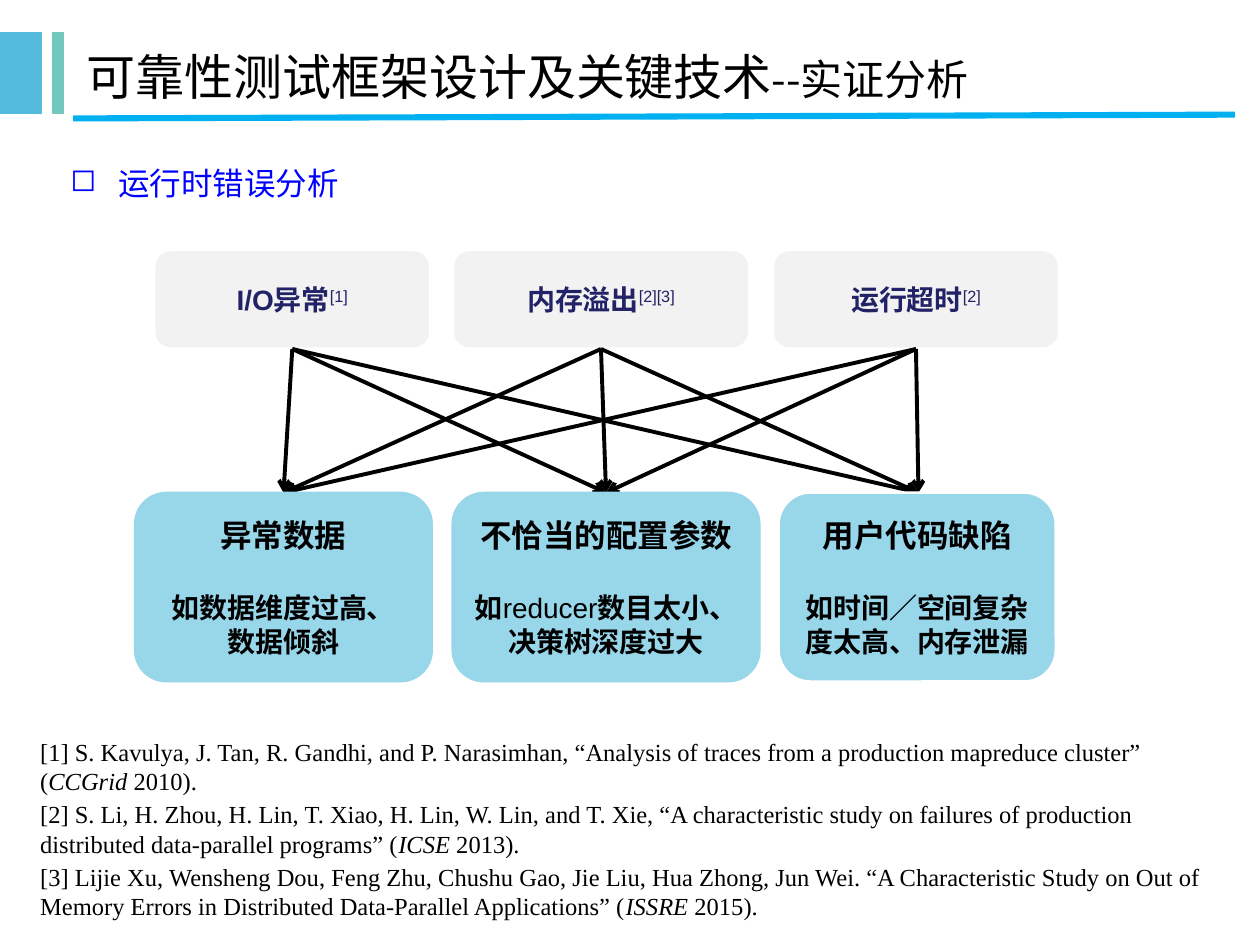
from dataclasses import dataclass
from itertools import product

from lxml.etree import SubElement
from pptx import Presentation
from pptx.dml.color import RGBColor
from pptx.enum.shapes import MSO_CONNECTOR, MSO_SHAPE
from pptx.enum.text import MSO_ANCHOR, PP_ALIGN
from pptx.oxml.ns import qn
from pptx.util import Inches, Pt


@dataclass(frozen=True)
class Theme:
    sans: str = "Arial"
    serif: str = "Times New Roman"
    asian: str = "Noto Sans CJK SC"
    black: str = "000000"
    white: str = "FFFFFF"
    bar: str = "54BBDC"
    accent: str = "73C8BE"
    rule: str = "00B0F0"
    topic: str = "0000FF"
    error_fill: str = "F2F2F2"
    error_text: str = "222267"
    cause_fill: str = "98D6EA"
    title: int = 28
    subtitle: int = 24
    heading: int = 18
    body: int = 16
    reference: int = 14


class SlideBuilder:
    def __init__(self, page, theme):
        self.page = page
        self.theme = theme

    def shape(self, kind, place, fill, line, width):
        shape = self.page.shapes.add_shape(kind, *map(Inches, place))
        shape.shadow.inherit = False
        shape.fill.solid()
        shape.fill.fore_color.rgb = RGBColor.from_string(fill)
        shape.line.color.rgb = RGBColor.from_string(line)
        shape.line.width = Pt(width)
        return shape

    def card(self, place, fill, line, width, paragraphs, color):
        card = self.shape(MSO_SHAPE.ROUNDED_RECTANGLE, place, fill, line, width)
        self.fill_text(card.text_frame, paragraphs, self.theme.sans, color,
                       {"alignment": PP_ALIGN.CENTER})

    def text_box(self, place, paragraphs, font, color, layout=None,
                 anchor=MSO_ANCHOR.TOP, bullet=None):
        box = self.page.shapes.add_textbox(*map(Inches, place))
        self.fill_text(box.text_frame, paragraphs, font, color, layout or {}, anchor, bullet)

    def fill_text(self, frame, paragraphs, font, color, layout,
                  anchor=MSO_ANCHOR.MIDDLE, bullet=None):
        """Fill a frame; each paragraph is (spans, own layout), each span (text, format)."""
        frame.word_wrap = True
        frame.vertical_anchor = anchor
        for index, (spans, own_layout) in enumerate(paragraphs):
            para = frame.add_paragraph() if index else frame.paragraphs[0]
            if bullet:
                self.add_bullet(para, bullet)
            for name, value in {**layout, **own_layout}.items():
                setattr(para, name, value)
            for text, style in spans:
                self.add_span(para, text, font, color, style)

    def add_span(self, para, text, font, color, style):
        span = para.add_run()
        span.text = text
        values = {"name": font, **style}
        baseline = values.pop("baseline", None)
        for name, value in values.items():
            setattr(span.font, name, value)
        span.font.color.rgb = RGBColor.from_string(color)
        properties = span._r.get_or_add_rPr()
        if baseline:
            properties.set("baseline", str(baseline * 1000))
        SubElement(properties, qn("a:ea"), typeface=self.theme.asian)

    def add_bullet(self, para, symbol, indent=0.38):
        properties = para._p.get_or_add_pPr()
        properties.set("marL", str(Inches(indent)))
        properties.set("indent", str(-Inches(indent)))
        SubElement(properties, qn("a:buChar"), char=symbol)

    def line(self, start, end, color, width, arrow=False):
        line = self.page.shapes.add_connector(
            MSO_CONNECTOR.STRAIGHT, *map(Inches, (*start, *end)))
        line.line.color.rgb = RGBColor.from_string(color)
        line.line.width = Pt(width)
        if arrow:
            SubElement(line.line._get_or_add_ln(), qn("a:tailEnd"), type="arrow")
        SubElement(line._element.spPr, qn("a:effectLst"))


def main():
    theme = Theme()
    deck = Presentation()
    deck.slide_width, deck.slide_height = Inches(10), Inches(7.5)
    slide = SlideBuilder(deck.slides.add_slide(deck.slide_layouts[6]), theme)

    for left, width, color in ((0, 0.33, theme.bar), (0.42, 0.08, theme.accent)):
        slide.shape(MSO_SHAPE.RECTANGLE, (left, 0.26, width, 0.64), color, color, 0.75)
    title = [("可靠性测试框架设计及关键技术", {"size": Pt(theme.title)}),
             ("--实证分析", {"size": Pt(theme.subtitle)})]
    slide.text_box((0.59, 0.26, 8.91, 0.69), [(title, {})], theme.asian, theme.black,
                   anchor=MSO_ANCHOR.MIDDLE)
    slide.line((0.58, 0.94), (9.8, 0.91), theme.rule, 3.5)
    topic = [("运行时错误分析", {"size": Pt(theme.heading)})]
    slide.text_box((0.46, 1.25, 2.58, 0.4), [(topic, {})], theme.sans, theme.topic,
                   bullet="◻")

    bold = {"size": Pt(theme.body), "bold": True}
    plain = {"size": Pt(theme.body), "bold": False}
    citation = {**plain, "baseline": 30}
    errors = ((1.22, 2.2, "I/O异常", "[1]"),
              (3.59, 2.36, "内存溢出", "[2][3]"),
              (6.13, 2.28, "运行超时", "[2]"))
    for left, width, name, source in errors:
        slide.card((left, 1.98, width, 0.79), theme.error_fill, theme.white, 2,
                   [([(name, bold), (source, citation)], {})], theme.error_text)

    error_centers = [left + width / 2 for left, width, *_ in errors]
    cause_centers = (2.25, 4.81, 7.29)
    for start, end in product(error_centers, cause_centers):
        slide.line((start, 2.77), (end, 3.91), theme.black, 2.25, arrow=True)

    causes = (
        (1.07, 2.36, theme.cause_fill, 1, "异常数据",
         [[("如数据维度过高、", bold)], [("数据倾斜", bold)]]),
        (3.59, 2.44, theme.cause_fill, 1, "不恰当的配置参数",
         [[("如", bold), ("reducer", plain), ("数目太小、决策树深度过大", bold)]]),
        (6.18, 2.2, theme.white, 1.5, "用户代码缺陷",
         [[("如时间／空间复杂度太高、内存泄漏", bold)]]),
    )
    heading = {"size": Pt(theme.heading), "bold": True}
    for left, width, border, weight, name, examples in causes:
        paragraphs = [([(name, heading)], {"space_after": Pt(21)})]
        paragraphs += [(spans, {}) for spans in examples]
        slide.card((left, 3.91, width, 1.5), theme.cause_fill, border, weight,
                   paragraphs, theme.black)

    references = (
        ("[1] S. Kavulya, J. Tan, R. Gandhi, and P. Narasimhan, “Analysis of traces "
         "from a production mapreduce cluster” (", "CCGrid", " 2010)."),
        ("[2] S. Li, H. Zhou, H. Lin, T. Xiao, H. Lin, W. Lin, and T. Xie, “A "
         "characteristic study on failures of production distributed data-parallel "
         "programs” (", "ICSE", " 2013)."),
        ("[3] Lijie Xu, Wensheng Dou, Feng Zhu, Chushu Gao, Jie Liu, Hua Zhong, Jun Wei. "
         "“A Characteristic Study on Out of Memory Errors in Distributed Data-Parallel "
         "Applications” (", "ISSRE", " 2015)."),
    )
    regular = {"size": Pt(theme.reference), "italic": False}
    italic = {**regular, "italic": True}
    paragraphs = [(list(zip(parts, (regular, italic, regular))), {}) for parts in references]
    slide.text_box((0.22, 5.8, 9.58, 1.56), paragraphs, theme.serif, theme.black,
                   {"space_after": Pt(2)})

    deck.save("out.pptx")


if __name__ == "__main__":
    main()
